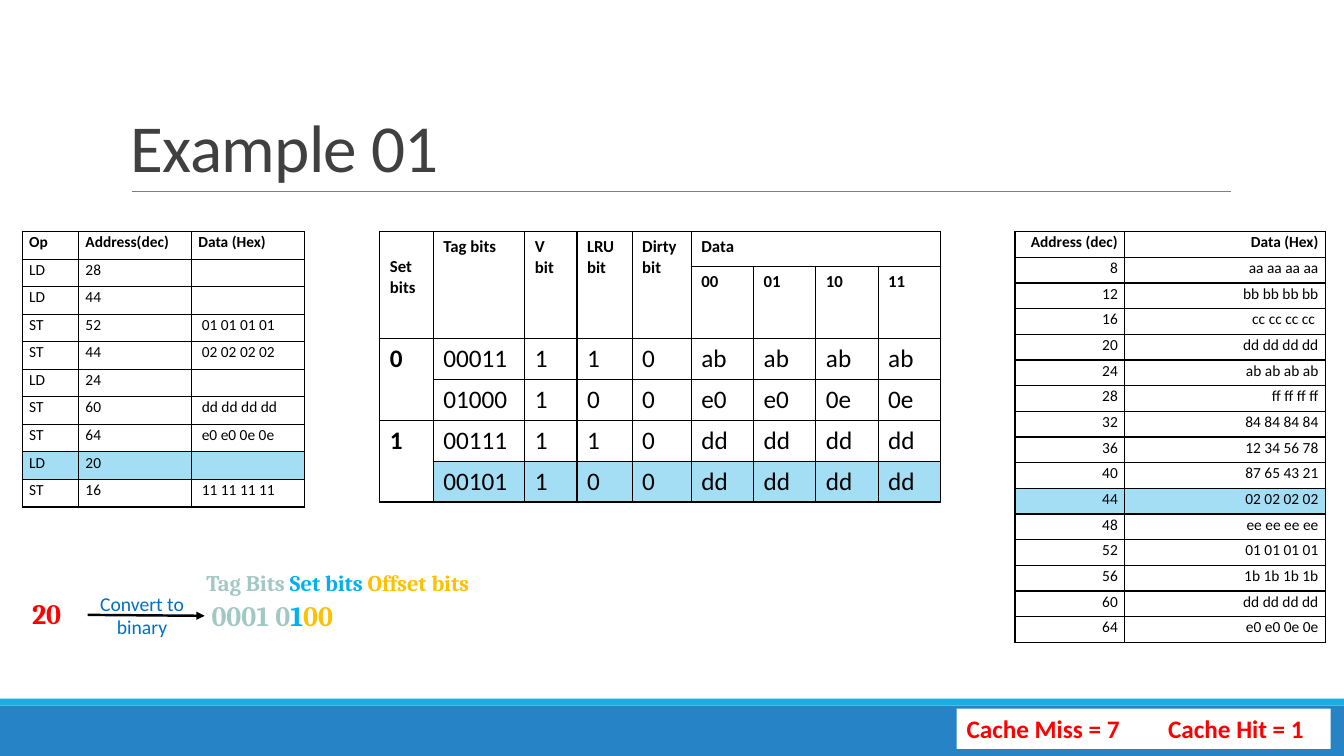
from lxml.etree import SubElement
from pptx import Presentation
from pptx.dml.color import RGBColor
from pptx.enum.shapes import MSO_CONNECTOR as LINE, MSO_SHAPE as SHAPE
from pptx.enum.text import MSO_ANCHOR as ANCHOR, PP_ALIGN as ALIGN
from pptx.oxml.ns import qn
from pptx.util import Pt

BLACK, WHITE, RED = "000000", "FFFFFF", "FF0000"
TAG, SET, OFFSET = "A1C8C5", "00B0F0", "FFC000"
MARK = "A4DEF4"

OPS = [
    ("Op", "Address(dec)", "Data (Hex)"),
    ("LD", "28", ""),
    ("LD", "44", ""),
    ("ST", "52", "01 01 01 01"),
    ("ST", "44", "02 02 02 02"),
    ("LD", "24", ""),
    ("ST", "60", "dd dd dd dd"),
    ("ST", "64", "e0 e0 0e 0e"),
    ("LD", "20", ""),
    ("ST", "16", "11 11 11 11"),
]
CACHE = [
    ("Set bits", "Tag bits", "V bit", "LRU bit", "Dirty bit", "Data", "", "", ""),
    ("", "", "", "", "", "00", "01", "10", "11"),
    ("0", "00011", "1", "1", "0", "ab", "ab", "ab", "ab"),
    ("", "01000", "1", "0", "0", "e0", "e0", "0e", "0e"),
    ("1", "00111", "1", "1", "0", "dd", "dd", "dd", "dd"),
    ("", "00101", "1", "0", "0", "dd", "dd", "dd", "dd"),
]
WORDS = [
    "aa aa aa aa", "bb bb bb bb", "cc cc cc cc ", "dd dd dd dd", "ab ab ab ab",
    "ff ff ff ff", "84 84 84 84", "12 34 56 78", "87 65 43 21", "02 02 02 02",
    "ee ee ee ee", "01 01 01 01", "1b 1b 1b 1b", "dd dd dd dd", "e0 e0 0e 0e",
]
MEMORY = [("Address (dec)", "Data (Hex)")]
MEMORY += [(str(8 + 4 * i), word) for i, word in enumerate(WORDS)]


def rgb(code):
    return RGBColor.from_string(code)


def style(font, size, color, bold=False, name="Calibri"):
    font.name, font.size, font.bold = name, Pt(size), bold
    font.color.rgb = rgb(color)


def rect(slide, at, fill):
    shape = slide.shapes.add_shape(SHAPE.RECTANGLE, *map(Pt, at))
    shape.shadow.inherit = False
    shape.fill.solid()
    shape.fill.fore_color.rgb = rgb(fill)
    shape.line.fill.background()
    return shape


def write(shape, lines, size, color, bold=False, name="Calibri",
          align=ALIGN.LEFT, anchor=ANCHOR.TOP):
    """Fill a shape; a line is a string or a list of (text, color) runs."""
    frame = shape.text_frame
    frame.word_wrap = True
    frame.vertical_anchor = anchor
    if align == ALIGN.LEFT:
        frame.margin_right = 0
    for i, line in enumerate(lines):
        para = frame.add_paragraph() if i else frame.paragraphs[0]
        para.alignment = align
        style(para.font, size, color, bold, name)
        if isinstance(line, str):
            para.add_run().text = line
            continue
        for text, tint in line:
            run = para.add_run()
            run.text = text
            run.font.color.rgb = rgb(tint)
    return frame


def label(slide, at, *args, **kinds):
    return write(slide.shapes.add_textbox(*map(Pt, at)), *args, **kinds)


def rule(slide, ends, color, width, arrow=False):
    line = slide.shapes.add_connector(LINE.STRAIGHT, *map(Pt, ends))
    line.line.color.rgb = rgb(color)
    line.line.width = Pt(width)
    if arrow:
        SubElement(line.line._get_or_add_ln(), qn("a:tailEnd"), type="triangle")
    SubElement(line._element.spPr, qn("a:effectLst"))


def border(cell):
    props = cell._tc.get_or_add_tcPr()
    for side in ("lnL", "lnR", "lnT", "lnB"):
        edge = SubElement(props, qn("a:" + side), w=str(Pt(1)))
        fill = SubElement(edge, qn("a:solidFill"))
        SubElement(fill, qn("a:srgbClr"), val=BLACK)


def put(cell, text, size, bold, fill, align, space):
    border(cell)
    if fill:
        cell.fill.solid()
        cell.fill.fore_color.rgb = rgb(fill)
    else:
        cell.fill.background()
    para = cell.text_frame.paragraphs[0]
    para.alignment = align
    para.line_spacing = space
    style(para.font, size, BLACK, bold)
    if text:
        para.add_run().text = text
    else:
        SubElement(para._p, qn("a:endParaRPr"), sz=str(size * 100))


def grid(slide, left, top, cols, rows):
    frame = slide.shapes.add_table(len(rows), len(cols), Pt(left), Pt(top),
                                   Pt(sum(cols)), Pt(sum(rows)))
    table = frame.table
    table.first_row = table.horz_banding = False
    for col, width in zip(table.columns, cols):
        col.width = Pt(width)
    for row, height in zip(table.rows, rows):
        row.height = Pt(height)
    return table


def listing(slide, left, cols, height, data, mark, align):
    """Draw a small table with a bold head and one marked row."""
    table = grid(slide, left, 165.4, cols, [height] * len(data))
    for r, row in enumerate(data):
        for c, text in enumerate(row):
            cell = table.cell(r, c)
            cell.margin_top = cell.margin_bottom = 0
            inset = 7.5 if r and c == 2 else 5
            cell.margin_left, cell.margin_right = Pt(inset), Pt(5)
            put(cell, text, 11, r == 0, MARK if r == mark else None, align, 1.07)


def cache(slide):
    table = grid(slide, 271.3, 165.4, [38.2, 65.4, 37.3, 39.4, 42.3] + [44.5] * 4,
                 [25, 51.4] + [29.2] * 4)
    for r, row in enumerate(CACHE):
        for c, text in enumerate(row):
            fill = MARK if r == 5 and c else None
            put(table.cell(r, c), text, 12 if r < 2 else 18, r < 2 or c == 0,
                fill, ALIGN.LEFT, 1)
    table.cell(0, 0).margin_top = Pt(18)
    for c in range(5):
        table.cell(0, c).merge(table.cell(1, c))
    table.cell(0, 5).merge(table.cell(0, 8))
    for r in (2, 4):
        table.cell(r, 0).merge(table.cell(r + 1, 0))


def address(slide):
    """Show how the address splits into tag, set and offset bits."""
    write(rect(slide, (62.6, 419, 77.8, 41), WHITE), ["Convert to", "binary"],
          14, "0070C0", align=ALIGN.CENTER)
    label(slide, (15.8, 422.6, 70.6, 31.7), ["20"], 20, RED, True, "Cambria")
    rule(slide, (62.6, 439.2, 146.2, 439.9), BLACK, 1.75, arrow=True)
    bits = [("0001 0", TAG), ("1", SET), ("00", OFFSET)]
    label(slide, (144, 424.1, 154.8, 31.7), [bits], 20, TAG, True, "Cambria")
    names = [("Tag Bits ", TAG), ("Set bits ", SET), ("Offset bits", OFFSET)]
    write(rect(slide, (140.4, 403.2, 203, 26.6), WHITE), [names],
          16, TAG, True, "Cambria")


def main():
    deck = Presentation()
    deck.slide_width, deck.slide_height = Pt(960), Pt(540)
    slide = deck.slides.add_slide(deck.slide_layouts[6])
    rect(slide, (0, 504, 960, 36), "2683C6")
    rect(slide, (0, 499, 960, 5), "1CADE4")
    rule(slide, (94.3, 136.8, 879.1, 136.8), "808080", 0.5)
    title = label(slide, (86.4, 22.3, 792, 114.5), ["Example 01"], 48, "404040",
                  anchor=ANCHOR.BOTTOM).paragraphs[0]
    title.line_spacing = 0.85
    title.runs[0].font._element.set("spc", "-50")
    cache(slide)
    address(slide)
    write(rect(slide, (683.3, 506.2, 267.1, 28.8), WHITE),
          ["Cache Miss = 7\tCache Hit = 1"], 18, RED, True)
    listing(slide, 15.8, [40.3, 80.6, 80.6], 19.7, OPS, 8, ALIGN.LEFT)
    listing(slide, 725, [78.5, 143.3], 18.36, MEMORY, 10, ALIGN.RIGHT)
    deck.save("out.pptx")


if __name__ == "__main__":
    main()
